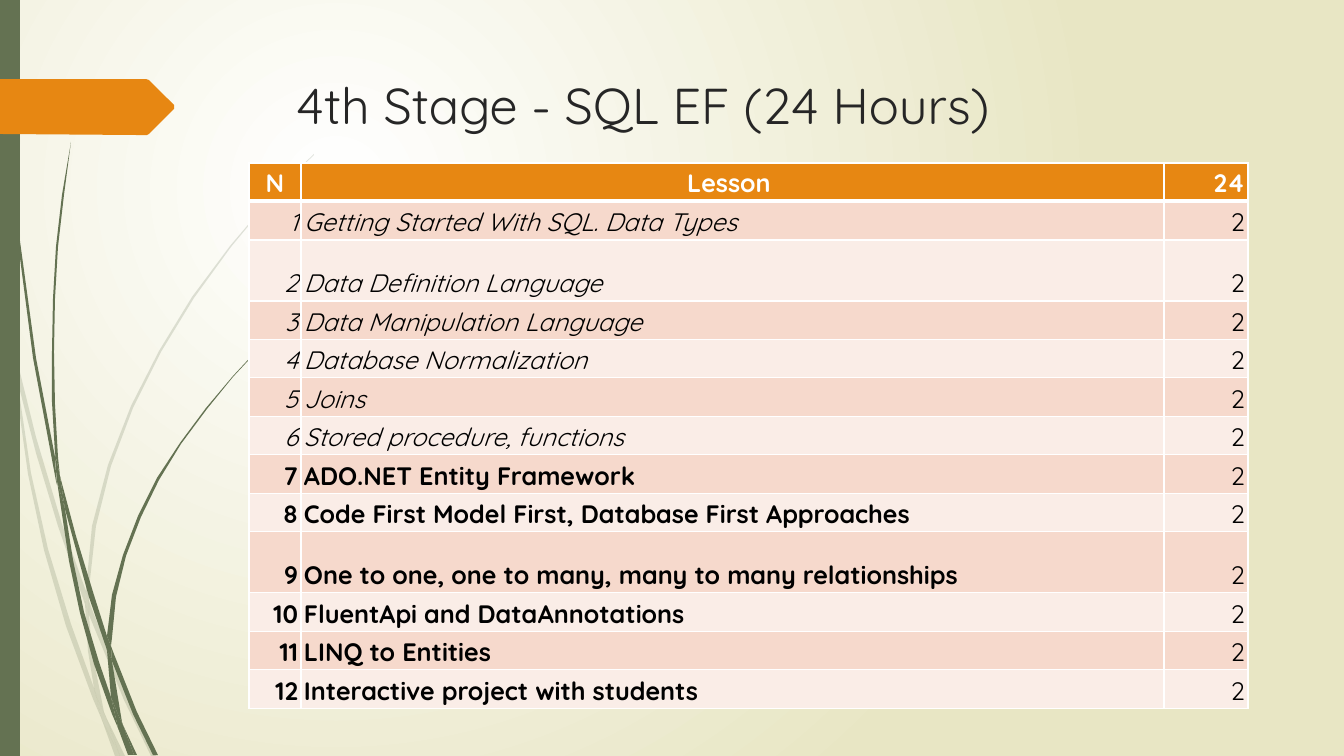
"""Build the "4th Stage - SQL EF" lesson plan slide."""
from lxml import etree
from pptx import Presentation
from pptx.dml.color import RGBColor
from pptx.enum.shapes import MSO_SHAPE as SHAPE
from pptx.enum.text import MSO_ANCHOR as ANCHOR, MSO_AUTO_SIZE as AUTO, PP_ALIGN as ALIGN
from pptx.oxml.ns import qn
from pptx.util import Pt

PX = 914400 / 100.8
FONT = "Quicksand"
GREEN, ORANGE, WHITE, BLACK, INK = "647252", "E78712", "FFFFFF", "000000", "262626"
BANDS = ("F6D9CC", "FAEDE7")
COLS = (52, 863, 84)
ROWS = (38, 39, 61, 39, 38, 39, 38, 39, 38, 61, 39, 38, 39)
HEADER = ("N", "Lesson ", "24")
SQL_LESSONS = (
    "Getting Started With SQL. Data Types",
    "Data Definition Language",
    "Data Manipulation Language",
    "Database Normalization",
    "Joins",
    "Stored procedure, functions",
)
EF_LESSONS = (
    "ADO.NET Entity Framework",
    "Code First Model First, Database First Approaches",
    "One to one, one to many, many to many relationships",
    "FluentApi and DataAnnotations",
    "LINQ to Entities",
    "Interactive project with students",
)
PALE_GRASS = (
    "11,353 9,325 0,284 0,301 10,347",
    "58,526 85,604 86,591 62,524 36,437 14,348 17,379 36,453",
    "93,612 89,601 89,615 124,700 151,756 156,756 128,698",
    "120,756 125,756 106,717",
    "94,688 71,624 48,549 31,473 17,379 11,353 28,474 44,550 66,626 93,699 102,720 100,713",
    "85,604 88,651 94,688 97,698 106,717 104,712 92,651 89,615 89,613",
    "89,589 96,526 111,466 133,408 161,352 194,298 231,247 270,200 292,176 314,155 314,154 "
    "291,176 270,199 230,246 192,297 159,351 131,406 108,465 92,526 86,589 86,591 89,601",
    "102,720 115,756 120,756",
    "89,613 89,615 89,601 86,591 85,604",
    "97,698 94,688 100,713 102,720 120,756 106,717",
)
DARK_GRASS = (
    "7,111 17,235 33,358 56,481 57,485 55,461 55,457 36,358 19,234 8,110 5,48 4,0 3,0 4,48",
    "89,597 107,650 107,638 107,636 94,595 76,536 60,476 65,509",
    "114,654 111,646 112,661 133,714 153,755 158,755 137,712",
    "111,697 99,662 84,612 73,560 65,509 57,481 69,561 80,613 94,664 112,714 118,728 117,723",
    "60,476 58,457 55,404 54,352 55,299 58,247 64,195 71,142 "
    "62,195 56,247 53,299 52,352 52,402 55,453",
    "134,755 137,755 123,725",
    "57,481 65,509 60,476 55,453 55,457",
    "112,638 116,597 126,556 141,517 159,480 181,444 207,409 233,377 247,362 263,347 262,347 "
    "247,361 233,376 206,408 180,443 157,478 138,516 123,555 112,595 107,636 111,646",
    "118,728 128,755 132,755",
    "107,650 111,697 117,712 123,725 122,722 112,661 110,656",
    "107,650 110,656 112,661 111,646 107,636",
    "117,712 111,697 117,723 118,728 131,755 134,755 123,725",
)
ARROW_TAG = "0,79 146,79 149,80 174,105 174,109 149,134 147,135 137,135 0,134"


def px(n):
    """Turn pixels into EMU."""
    return round(n * PX)


def rgb(value):
    """Turn a hex string into a colour."""
    return RGBColor.from_string(value)


def paint(sp, color, alpha=100):
    """Give a shape a plain fill without line or shadow."""
    sp.shadow.inherit = False
    sp.line.fill.background()
    sp.fill.solid()
    sp.fill.fore_color.rgb = rgb(color)
    if alpha < 100:
        clr = sp.element.spPr.find(f"{qn('a:solidFill')}/{qn('a:srgbClr')}")
        etree.SubElement(clr, qn("a:alpha"), val=str(alpha * 1000))


def outline(shapes, points, color, alpha=100):
    """Draw a closed outline from a string of x,y pixel pairs."""
    start, *rest = [tuple(map(int, pair.split(","))) for pair in points.split()]
    builder = shapes.build_freeform(*start, scale=PX)
    builder.add_line_segments(rest, close=True)
    paint(builder.convert_to_shape(), color, alpha)


def write(tf, text, size=18, color=BLACK, bold=False, italic=False, align=ALIGN.LEFT):
    """Write one formatted run into a text frame."""
    p = tf.paragraphs[0]
    p.alignment = align
    r = p.add_run()
    r.text = text
    font = r.font
    font.name, font.size, font.bold, font.italic = FONT, Pt(size), bold, italic
    font.color.rgb = rgb(color)


def add_background(s):
    """Fill the background with a radial glow."""
    fill = s.background.fill
    fill.gradient()
    for stop, color in zip(fill.gradient_stops, (WHITE, "E8E6C4")):
        stop.color.rgb = rgb(color)
    lin = next(s.element.iter(qn("a:lin")))
    glow = etree.Element(qn("a:path"), path="circle")
    etree.SubElement(glow, qn("a:fillToRect"), l="50000", t="50000", r="100000", b="100000")
    lin.getparent().replace(lin, glow)


def add_decoration(s):
    """Draw the grass, the side bar and the arrow tag."""
    for blades, alpha in ((PALE_GRASS, 20), (DARK_GRASS, 100)):
        group = s.shapes.add_group_shape()
        for blade in blades:
            outline(group.shapes, blade, GREEN, alpha)
    paint(s.shapes.add_shape(SHAPE.RECTANGLE, 0, 0, px(20), px(756)), GREEN)
    outline(s.shapes, ARROW_TAG, ORANGE)


def add_title(s, text):
    """Place the title in front of the decoration."""
    sp = s.shapes.title
    s.shapes.element.append(sp.element)
    sp.left, sp.top, sp.width, sp.height = px(286), px(69), px(983), px(141)
    tf = sp.text_frame
    tf.word_wrap, tf.auto_size, tf.vertical_anchor = True, AUTO.NONE, ANCHOR.TOP
    write(tf, text, size=36, color=INK)


def add_border(cell, side, width):
    """Add a white border to one side of a cell."""
    tc_pr = cell._tc.get_or_add_tcPr()
    ln = etree.SubElement(tc_pr, qn(f"a:ln{side}"), w=str(Pt(width)))
    fill = etree.SubElement(ln, qn("a:solidFill"))
    etree.SubElement(fill, qn("a:srgbClr"), val=WHITE)


def fill_cell(cell, text, band, row, **fmt):
    """Format one table cell and write its text."""
    cell.margin_left = cell.margin_right = px(3)
    cell.margin_top = cell.margin_bottom = px(2)
    cell.vertical_anchor = ANCHOR.BOTTOM
    widths = {"L": 1, "R": 1, "T": 3 if row == 1 else 1, "B": 3 if row == 0 else 1}
    for side, width in widths.items():
        add_border(cell, side, width)
    cell.fill.solid()
    cell.fill.fore_color.rgb = rgb(band)
    write(cell.text_frame, text, **fmt)


def add_lessons(s):
    """Add the table of lessons and hours."""
    table = s.shapes.add_table(
        len(ROWS), len(COLS), px(249), px(163), px(sum(COLS)), px(sum(ROWS))).table
    for col, width in zip(table.columns, COLS):
        col.width = px(width)
    for row, height in zip(table.rows, ROWS):
        row.height = px(height)
    for j, align in enumerate((ALIGN.CENTER, ALIGN.CENTER, ALIGN.RIGHT)):
        fill_cell(table.cell(0, j), HEADER[j], ORANGE, 0, color=WHITE, bold=True, align=align)
    for i, lesson in enumerate(SQL_LESSONS + EF_LESSONS, 1):
        band = BANDS[(i - 1) % 2]
        is_sql = i <= len(SQL_LESSONS)
        style = {"italic": is_sql, "bold": not is_sql}
        fill_cell(table.cell(i, 0), str(i), band, i, align=ALIGN.RIGHT, **style)
        fill_cell(table.cell(i, 1), lesson, band, i, **style)
        fill_cell(table.cell(i, 2), "2", band, i, align=ALIGN.RIGHT)


def main():
    """Build and save the slide."""
    prs = Presentation()
    prs.slide_width, prs.slide_height = px(1344), px(756)
    s = prs.slides.add_slide(prs.slide_layouts[5])
    add_background(s)
    add_decoration(s)
    add_title(s, "4th Stage - SQL EF (24 Hours)")
    add_lessons(s)
    prs.save("out.pptx")


main()
